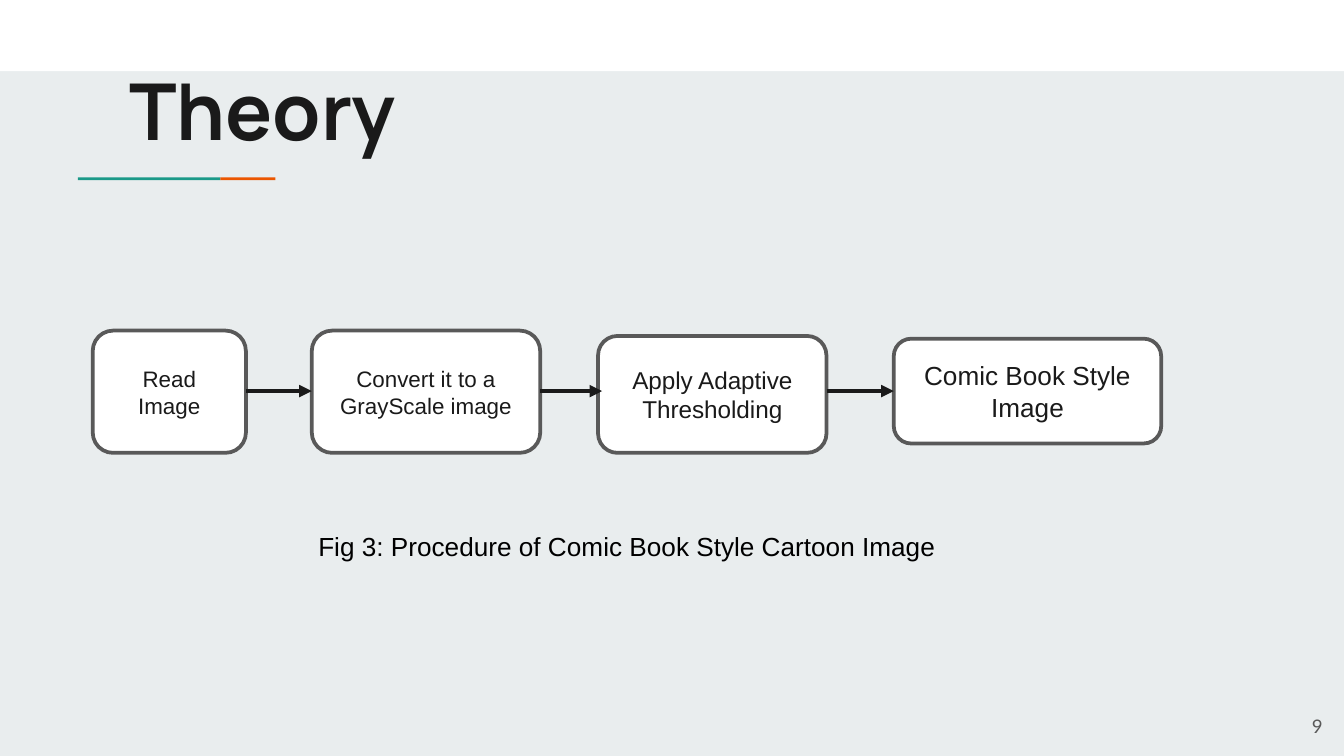
from lxml import etree
from pptx import Presentation
from pptx.dml.color import RGBColor
from pptx.enum.shapes import MSO_CONNECTOR as CONN, MSO_SHAPE as SHAPE
from pptx.enum.text import MSO_ANCHOR as ANCHOR, PP_ALIGN as ALIGN
from pptx.oxml.ns import qn
from pptx.util import Inches, Pt

BACKGROUND = RGBColor(0xE9, 0xED, 0xEE)
WHITE = RGBColor(0xFF, 0xFF, 0xFF)
BLACK = RGBColor(0, 0, 0)
INK = RGBColor(0x1A, 0x1A, 0x1A)
GREY = RGBColor(0x59, 0x59, 0x59)
TEAL = RGBColor(0x1A, 0x99, 0x88)
ORANGE = RGBColor(0xEB, 0x56, 0x00)

# Label, size in points, box relative to the flow chart's corner
STEPS = [
    ("Read Image", 12, (0, 0, 1.14, 0.91)),
    ("Convert it to a GrayScale image", 12, (1.63, 0, 1.7, 0.91)),
    ("Apply Adaptive Thresholding", 13, (3.76, 0.04, 1.7, 0.87)),
    ("Comic Book Style Image", 14, (5.96, 0.06, 1.99, 0.78)),
]
# Start and end of each arrow, relative to the same corner
ARROWS = [(1.14, 1.63), (3.33, 3.79), (5.46, 5.96)]
ARROW_Y = 0.45


def write(s, text, size, font="Arial", color=INK, bold=False,
          align=ALIGN.LEFT, anchor=ANCHOR.TOP, margin=0.1):
    tf = s.text_frame
    frame_format = {"word_wrap": True, "vertical_anchor": anchor,
                    "margin_left": Inches(0.1), "margin_right": Inches(0.1),
                    "margin_top": Inches(margin), "margin_bottom": Inches(margin)}
    for name, value in frame_format.items():
        setattr(tf, name, value)
    p = tf.paragraphs[0]
    p.alignment = align
    r = p.add_run()
    r.text = text
    for name, value in {"name": font, "size": Pt(size), "bold": bold}.items():
        setattr(r.font, name, value)
    r.font.color.rgb = color


def add_block(slide, kind, box, fill, line=None):
    s = slide.shapes.add_shape(kind, *map(Inches, box))
    s.shadow.inherit = False
    s.fill.solid()
    s.fill.fore_color.rgb = fill
    if line is None:
        s.line.fill.background()
    else:
        s.line.color.rgb = line
        s.line.width = Pt(2)
    return s


def add_arrow(slide, x1, x2, y):
    arrow = slide.shapes.add_connector(
        CONN.STRAIGHT, *map(Inches, (x1, y, x2, y)))
    arrow.line.color.rgb = INK
    arrow.line.width = Pt(2.25)
    ln = arrow.line._get_or_add_ln()
    etree.SubElement(ln, qn("a:tailEnd"), type="triangle")
    etree.SubElement(arrow._element.spPr, qn("a:effectLst"))


def add_header(slide, left, top, width, height):
    # White band across the top of the slide
    add_block(slide, SHAPE.RECTANGLE, (0, 0, 10, 0.53), WHITE)

    # Two-coloured rule under the title
    x = left - 0.28
    for length, color in ((1.06, TEAL), (0.41, ORANGE)):
        add_block(slide, SHAPE.RECTANGLE,
                  (x, top + 0.96, length, 0.02), color)
        x += length

    # Title, moved in front of the band
    title = slide.shapes.title
    slide.shapes._spTree.append(title._element)
    title.left, title.top, title.width, title.height = map(
        Inches, (left, top, width, height))
    write(title, "Theory", 42, "Manrope", bold=True, anchor=ANCHOR.MIDDLE)


def add_flow(slide, left, top):
    # Steps
    for label, size, (x, y, w, h) in STEPS:
        s = add_block(slide, SHAPE.ROUNDED_RECTANGLE,
                      (left + x, top + y, w, h), WHITE, GREY)
        write(s, label, size, align=ALIGN.CENTER,
              anchor=ANCHOR.MIDDLE, margin=0.05)

    # Arrows from each step to the next
    for start, end in ARROWS:
        add_arrow(slide, left + start, left + end, top + ARROW_Y)


def add_caption(slide, *box):
    s = slide.shapes.add_textbox(*map(Inches, box))
    write(s, "Fig 3: Procedure of Comic Book Style Cartoon Image", 14,
          color=BLACK, margin=0.05)


def add_page_number(slide, *box):
    s = slide.shapes.add_textbox(*map(Inches, box))
    write(s, "9", 10, "Lato", GREY, align=ALIGN.RIGHT, anchor=ANCHOR.MIDDLE)


def main():
    prs = Presentation()
    prs.slide_width = Inches(10)
    prs.slide_height = prs.slide_width * 9 // 16
    slide = prs.slides.add_slide(prs.slide_layouts[5])
    slide.background.fill.solid()
    slide.background.fill.fore_color.rgb = BACKGROUND

    add_header(slide, 0.86, 0.36, 8.41, 0.91)
    add_flow(slide, 0.69, 2.46)
    add_caption(slide, 2.27, 3.9, 4.8, 0.34)
    add_page_number(slide, 9.34, 5.19, 0.6, 0.43)
    prs.save("out.pptx")


if __name__ == "__main__":
    main()
